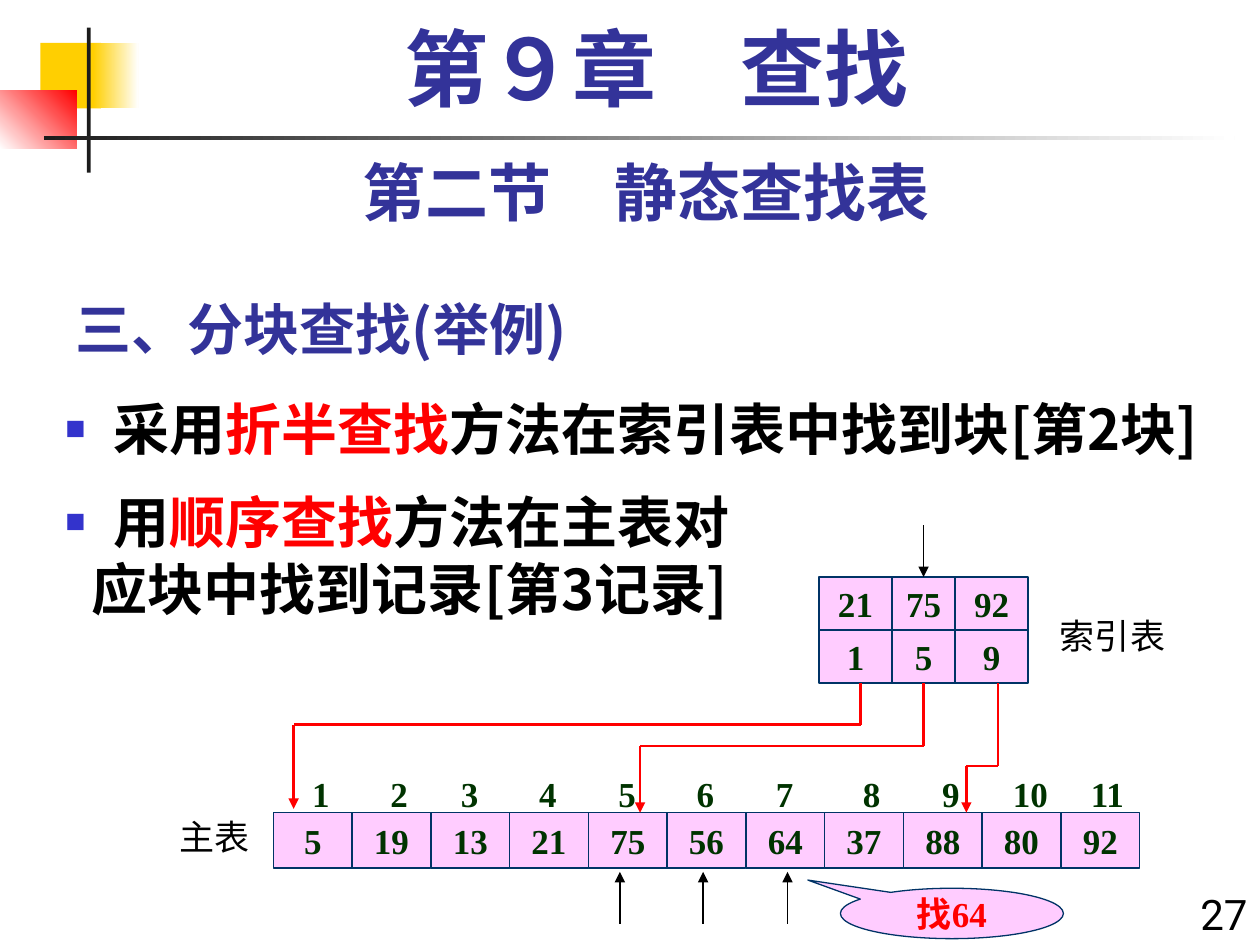
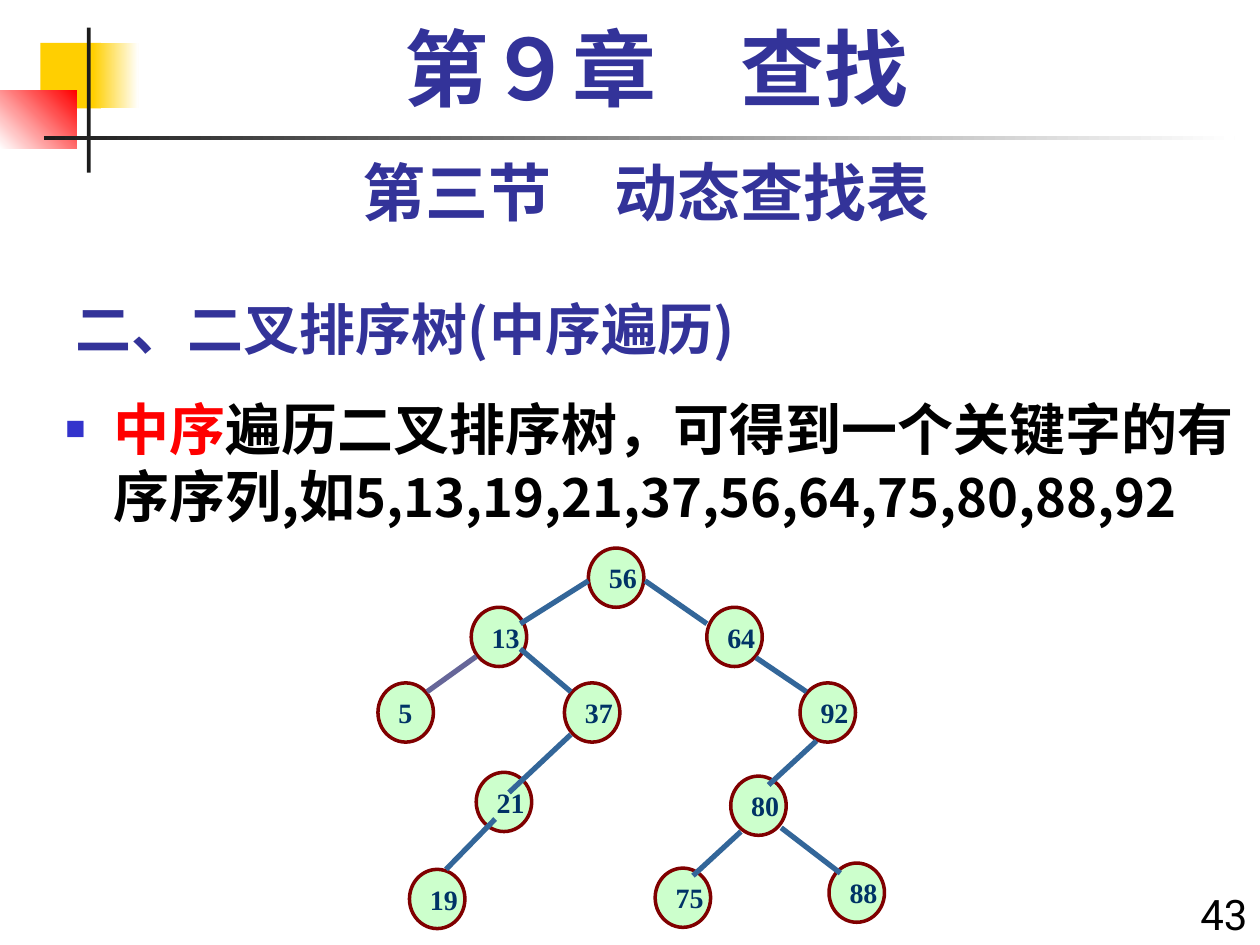
from lxml.etree import SubElement
from pptx import Presentation
from pptx.dml.color import RGBColor
from pptx.enum.shapes import MSO_CONNECTOR, MSO_SHAPE
from pptx.enum.text import MSO_ANCHOR as Anchor, PP_ALIGN as Align
from pptx.oxml.ns import qn
from pptx.util import Inches, Pt

BLACK = RGBColor(0x00, 0x00, 0x00)
WHITE = RGBColor(0xFF, 0xFF, 0xFF)
RED = RGBColor(0xFF, 0x00, 0x00)
GOLD = RGBColor(0xFF, 0xCF, 0x01)
CHARCOAL = RGBColor(0x1C, 0x1C, 0x1C)
INDIGO = RGBColor(0x33, 0x33, 0x99)
PINK = RGBColor(0xFF, 0xCC, 0xFF)
NAVY = RGBColor(0x00, 0x33, 0x66)
FOREST = RGBColor(0x00, 0x33, 0x00)
MINT = RGBColor(0xCC, 0xFF, 0xCC)
MAROON = RGBColor(0x80, 0x00, 0x00)
STEEL = RGBColor(0x33, 0x66, 0x99)
VIOLET = RGBColor(0x66, 0x66, 0x99)
BULLET_HEX = "3333CC"

CJK, SANS, SERIF = "Noto Sans CJK SC", "Roboto", "Times New Roman"


class SlideBuilder:
    def __init__(self):
        self.deck = Presentation()
        self.deck.slide_width = Inches(10)
        self.deck.slide_height = Inches(7.5)
        self.page = None

    def new_page(self, section, heading, number):
        self.page = self.deck.slides.add_slide(self.deck.slide_layouts[6])
        self.shape(0.32, 0.34, 0.48, 0.52, GOLD)
        self.gradient(0.74, 0.34, 0.36, 0.52, GOLD, WHITE)
        self.gradient(0, 0.72, 0.61, 0.46, WHITE, RED, 45)
        self.shape(0.69, 0.22, 0.03, 1.15, CHARCOAL)
        self.gradient(0.35, 1.08, 9.45, 0.03, CHARCOAL, WHITE)
        self.label(0.5, 2.17, 6.25, 0.75, heading, 32, CJK, INDIGO, True, anchor=Anchor.BOTTOM)
        self.label(9.33, 7, 0.67, 0.5, number, 24, SANS, BLACK, align=Align.RIGHT)
        self.label(0.5, 1.17, 9.25, 0.7, section, 36, SANS, INDIGO, True, Align.CENTER)
        chapter = self.label(0.67, 0.17, 9.08, 0.83, "第９章　查找", 48, SERIF, INDIGO, True, Align.CENTER)
        chapter.text_frame.paragraphs[0].line_spacing = 0.9

    def span(self, para, text, size, font, color, bold=False):
        run = para.add_run()
        run.text = text
        run.font.size = Pt(size)
        run.font.bold = bold
        run.font.color.rgb = color
        run.font.name = font
        SubElement(run.font._element, qn("a:ea"), typeface=CJK)

    def text_box(self, left, top, width, height, anchor=Anchor.TOP):
        box = self.page.shapes.add_textbox(Inches(left), Inches(top), Inches(width), Inches(height))
        box.text_frame.word_wrap = True
        box.text_frame.vertical_anchor = anchor
        return box

    def label(self, left, top, width, height, text, size, font, color,
              bold=False, align=Align.LEFT, anchor=Anchor.TOP):
        box = self.text_box(left, top, width, height, anchor)
        para = box.text_frame.paragraphs[0]
        para.alignment = align
        self.span(para, text, size, font, color, bold)
        return box

    def body(self, items):
        frame = self.text_box(0.42, 3.08, 9.58, 4.42).text_frame
        for index, (bulleted, spans) in enumerate(items):
            para = frame.add_paragraph() if index else frame.paragraphs[0]
            if bulleted:
                self.bullet(para)
                if index:
                    para.space_before = Pt(15)
            else:
                para._p.get_or_add_pPr().set("marL", str(Inches(0.21)))
            for text, color, size in spans:
                self.span(para, text, size, CJK, color, True)

    def bullet(self, para):
        props = para._p.get_or_add_pPr()
        props.set("marL", str(Inches(0.38)))
        props.set("indent", str(-Inches(0.38)))
        SubElement(SubElement(props, qn("a:buClr")), qn("a:srgbClr"), val=BULLET_HEX)
        SubElement(props, qn("a:buSzPct"), val="60000")
        SubElement(props, qn("a:buFont"), typeface=SERIF)
        SubElement(props, qn("a:buChar"), char="■")

    def tabbed(self, left, top, width, height, texts, stops):
        box = self.label(left, top, width, height, "\t".join(texts), 20, SERIF, FOREST, True)
        props = box.text_frame.paragraphs[0]._p.get_or_add_pPr()
        tabs = SubElement(props, qn("a:tabLst"))
        for stop in stops:
            SubElement(tabs, qn("a:tab"), pos=str(Inches(stop)), algn="l")

    def shape(self, left, top, width, height, fill, kind=MSO_SHAPE.RECTANGLE, outline=None, weight=0.75):
        shape = self.page.shapes.add_shape(kind, Inches(left), Inches(top), Inches(width), Inches(height))
        shape.shadow.inherit = False
        shape.fill.solid()
        shape.fill.fore_color.rgb = fill
        if outline is None:
            shape.line.fill.background()
        else:
            shape.line.color.rgb = outline
            shape.line.width = Pt(weight)
        return shape

    def gradient(self, left, top, width, height, start, end, angle=0):
        fill = self.shape(left, top, width, height, start).fill
        fill.gradient()
        fill.gradient_angle = angle
        for stop, color in zip(fill.gradient_stops, (start, end)):
            stop.color.rgb = color

    def caption(self, shape, text, size, color, align):
        frame = shape.text_frame
        frame.word_wrap = False
        frame.vertical_anchor = Anchor.MIDDLE
        frame.paragraphs[0].alignment = align
        self.span(frame.paragraphs[0], text, size, SERIF, color, True)

    def cell(self, left, top, width, height, text):
        shape = self.shape(left, top, width, height, PINK, outline=NAVY)
        self.caption(shape, text, 20, FOREST, Align.CENTER)

    def node(self, left, top, text):
        shape = self.shape(left, top, 0.44, 0.47, MINT, MSO_SHAPE.OVAL, MAROON, 2)
        self.caption(shape, text, 16, NAVY, Align.LEFT)

    def callout(self, left, top, width, height, text, tip):
        shape = self.shape(left, top, width, height, PINK, MSO_SHAPE.OVAL_CALLOUT, NAVY)
        shape.adjustments[0], shape.adjustments[1] = tip
        self.caption(shape, text, 20, RED, Align.CENTER)

    def line(self, x1, y1, x2, y2, color, weight, arrow=False):
        line = self.page.shapes.add_connector(
            MSO_CONNECTOR.STRAIGHT, Inches(x1), Inches(y1), Inches(x2), Inches(y2))
        line.line.color.rgb = color
        line.line.width = Pt(weight)
        props = line._element.spPr
        if arrow:
            SubElement(props.find(qn("a:ln")), qn("a:tailEnd"), type="triangle")
        SubElement(props, qn("a:effectLst"))


def block_search(show):
    show.new_page("第二节　静态查找表", "三、分块查找(举例)", "27")
    show.body([
        (True, [("采用", BLACK, 32), ("折半查找", RED, 32), ("方法在索引表中找到块[第2块]", BLACK, 32)]),
        (True, [("用", BLACK, 32), ("顺序查找", RED, 32), ("方法在主表对", BLACK, 32)]),
        (False, [("应块中找到记录[第3记录]", BLACK, 32)]),
    ])

    records = [5, 19, 13, 21, 75, 56, 64, 37, 88, 80, 92]
    positions = [str(index) for index in range(1, len(records) + 1)]
    show.tabbed(2.38, 6.08, 7, 0.43, positions,
                [0.62, 1.18, 1.8, 2.43, 3.05, 3.68, 4.37, 5, 5.56, 6.18])
    for column, record in enumerate(records):
        show.cell(2.17 + 0.625 * column, 6.45, 0.625, 0.44, str(record))
    show.callout(6.67, 7.05, 1.77, 0.4, "找64", (-0.646, -0.663))

    index_columns = [(6.5, 0.58, "21", "1"), (7.08, 0.5, "75", "5"), (7.58, 0.58, "92", "9")]
    for left, width, largest, start in index_columns:
        show.cell(left, 4.58, width, 0.42, largest)
        show.cell(left, 5, width, 0.42, start)

    routes = [(6.83, 5.75, 2.33, 6.42), (7.33, 5.92, 5.08, 6.45), (7.92, 6.08, 7.67, 6.45)]
    for source_x, bend_y, target_x, target_y in routes:
        show.line(target_x, bend_y, target_x, target_y, RED, 1.5, arrow=True)
        show.line(source_x, bend_y, target_x, bend_y, RED, 1.5)
        show.line(source_x, bend_y, source_x, 5.42, RED, 1.5)

    show.label(1.33, 6.42, 0.83, 0.43, "主表", 20, SANS, BLACK)
    index_label = show.label(8.33, 4.83, 1, 0.43, "索引表", 20, SANS, BLACK, align=Align.CENTER)
    index_label.text_frame.margin_left = index_label.text_frame.margin_right = 0
    show.line(7.33, 4.17, 7.33, 4.58, BLACK, 0.75, arrow=True)
    for probe_x in (4.92, 5.58, 6.25):
        show.line(probe_x, 7.33, probe_x, 6.92, BLACK, 0.75, arrow=True)


def sort_tree(show):
    show.new_page("第三节　动态查找表", "二、二叉排序树(中序遍历)", "43")
    show.body([(True, [
        ("中序", RED, 32),
        ("遍历二叉排序树，可得到一个关键字的有序序列,如", BLACK, 32),
        ("5,13,19,21,37,56,64,75,80,88,92", BLACK, 30),
    ])])
    nodes = {
        56: (4.67, 4.35), 13: (3.74, 4.82), 64: (5.61, 4.82), 5: (3, 5.42),
        37: (4.48, 5.42), 92: (6.35, 5.42), 21: (3.78, 6.13), 80: (5.8, 6.16),
        19: (3.25, 6.9), 75: (5.2, 6.89), 88: (6.58, 6.85),
    }
    for key, (left, top) in nodes.items():
        show.node(left, top, str(key))
    branches = [
        (4.67, 4.61, 4.13, 4.95), (5.12, 4.61, 5.61, 4.95), (4.13, 5.15, 4.53, 5.49),
        (4.53, 5.83, 4.04, 6.29), (6, 5.22, 6.4, 5.49), (6.48, 5.88, 6.1, 6.23),
        (6.2, 6.57, 6.67, 6.93), (3.93, 6.5, 3.54, 6.9), (5.88, 6.6, 5.5, 6.95),
    ]
    for ends in branches:
        show.line(*ends, STEEL, 3)
    show.line(3.78, 5.21, 3.39, 5.49, VIOLET, 3)


def main():
    show = SlideBuilder()
    block_search(show)
    sort_tree(show)
    show.deck.save("out.pptx")


if __name__ == "__main__":
    main()
